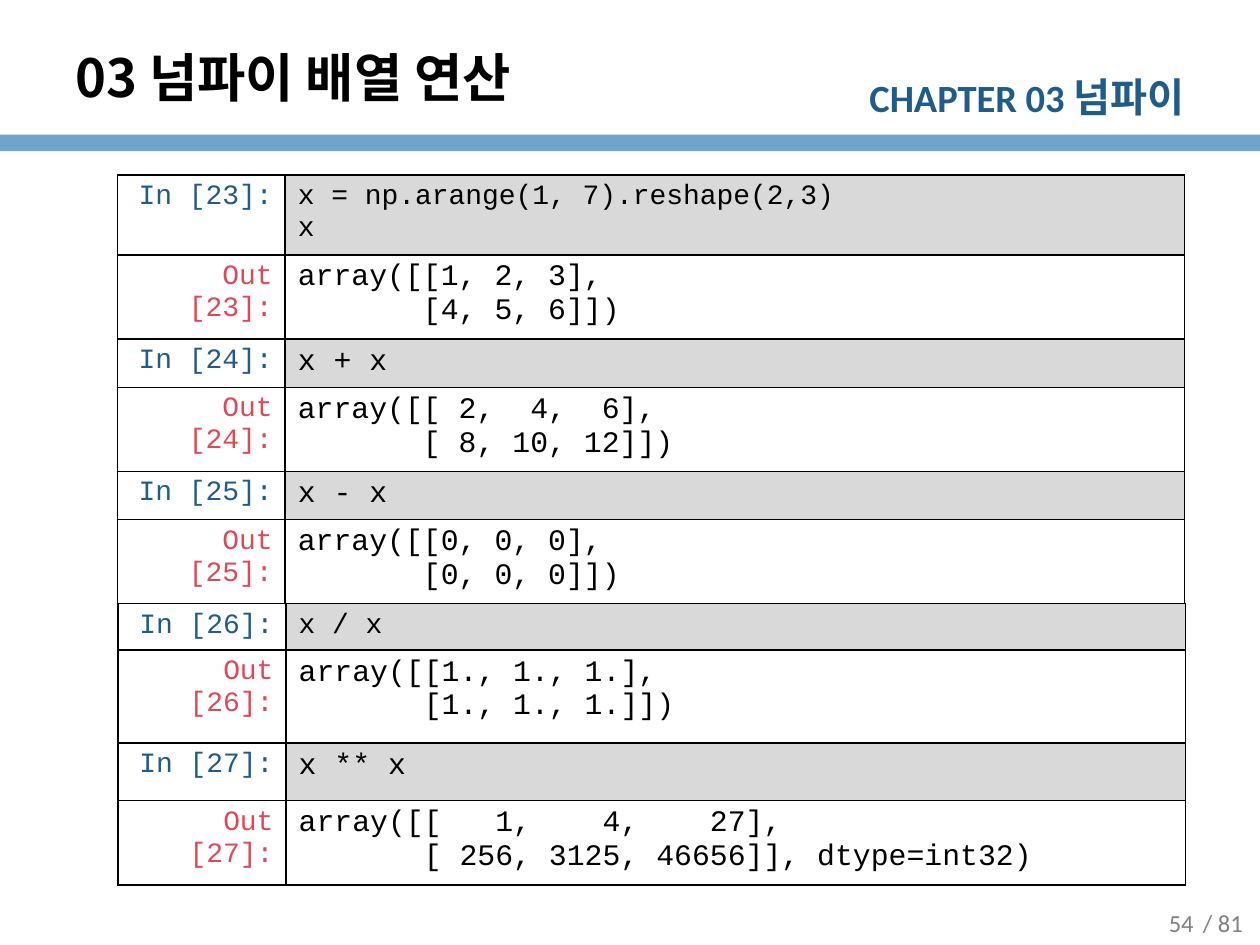
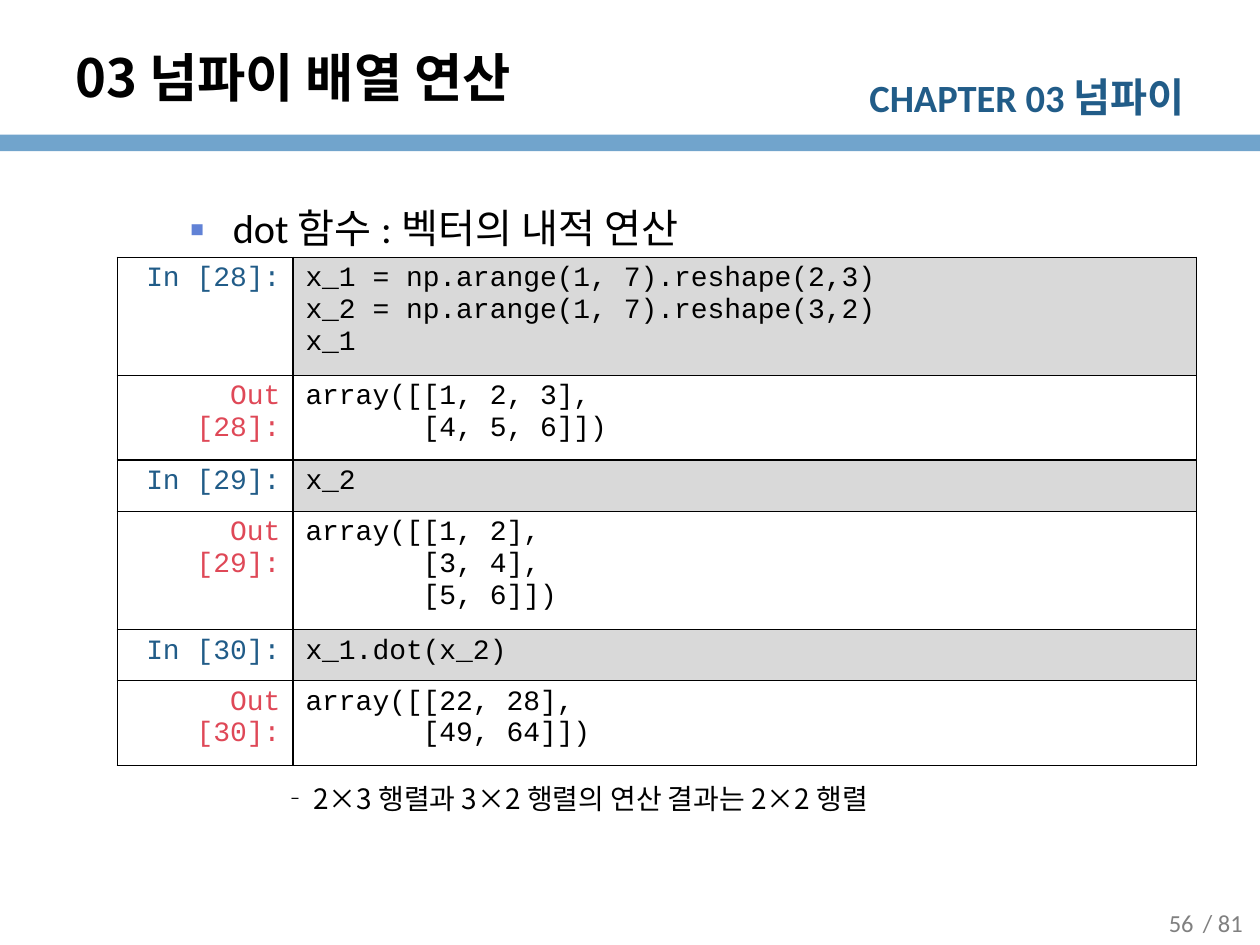
from lxml import etree
from pptx import Presentation
from pptx.dml.color import RGBColor
from pptx.enum.shapes import MSO_SHAPE
from pptx.enum.text import MSO_ANCHOR, PP_ALIGN
from pptx.oxml.ns import qn
from pptx.util import Pt

RECTANGLE = MSO_SHAPE.RECTANGLE
LEFT, CENTER, RIGHT = PP_ALIGN.LEFT, PP_ALIGN.CENTER, PP_ALIGN.RIGHT
TOP, MIDDLE = MSO_ANCHOR.TOP, MSO_ANCHOR.MIDDLE

# Shared style
BLACK, WHITE, GREY = "000000", "FFFFFF", "808080"
BAND, NAVY, RED, CODE_FILL = "71A4CC", "215C88", "DF4857", "D9D9D9"
BULLET_BLUE = "6182D6"
LATIN, KOREAN, MONO = "Calibri", "Noto Sans CJK KR", "Courier New"
PAGE_WIDTH, PAGE_HEIGHT = 720, 540
LAST_PAGE = 81
LABEL_SIZE = 16


def color(value):
    return RGBColor.from_string(value)


class LectureDeck:
    """Holds the deck, its style and the page being filled."""

    def __init__(self):
        self.deck = Presentation()
        self.deck.slide_width = Pt(PAGE_WIDTH)
        self.deck.slide_height = Pt(PAGE_HEIGHT)
        self.page = None

    def new_page(self, number):
        self.page = self.deck.slides.add_slide(self.deck.slide_layouts[6])
        self.band(0, 77, PAGE_WIDTH, 9.36)
        self.text(476.6, 38, 207.4, 34.6,
                  [("CHAPTER 03 ", 22, LATIN), ("넘파이", 23, LATIN)],
                  NAVY, bold=True, align=RIGHT)
        for left, label in ((677.5, f"/ {LAST_PAGE}"), (653.75, str(number))):
            self.text(left, 514, 42.5, 28 - 2, [(label, 14, LATIN)], GREY,
                      align=CENTER, anchor=MIDDLE)
        self.text(36, 21.6, 564, 44.6, [("03 넘파이 배열 연산", 30, KOREAN)],
                  bold=True, anchor=MIDDLE)

    def band(self, left, top, width, height):
        shape = self.page.shapes.add_shape(
            RECTANGLE, Pt(left), Pt(top), Pt(width), Pt(height))
        shape.shadow.inherit = False
        shape.fill.solid()
        shape.fill.fore_color.rgb = color(BAND)
        shape.line.fill.background()

    def span(self, para, text, size, font, ink, bold=False):
        span = para.add_run()
        span.text = text
        span.font.size = Pt(size)
        span.font.name = font
        span.font.bold = bold
        span.font.color.rgb = color(ink)
        # Hangul needs its own typeface entry
        east_asian = etree.Element(qn("a:ea"), typeface=KOREAN)
        span.font._element.find(qn("a:latin")).addnext(east_asian)

    def text(self, left, top, width, height, spans, ink=BLACK, bold=False,
             align=LEFT, anchor=TOP):
        box = self.page.shapes.add_textbox(
            Pt(left), Pt(top), Pt(width), Pt(height))
        box.text_frame.word_wrap = True
        box.text_frame.vertical_anchor = anchor
        para = box.text_frame.paragraphs[0]
        para.alignment = align
        for text, size, font in spans:
            self.span(para, text, size, font, ink, bold)
        return para

    def bullet(self, para, mark, ink, level, margin, indent):
        para.level = level
        para.line_spacing = 1.25
        properties = para._p.get_or_add_pPr()
        properties.set("marL", str(Pt(margin)))
        properties.set("indent", str(Pt(indent)))
        mark_color = etree.SubElement(properties, qn("a:buClr"))
        etree.SubElement(mark_color, qn("a:srgbClr"), val=ink)
        etree.SubElement(properties, qn("a:buFont"), typeface=KOREAN)
        etree.SubElement(properties, qn("a:buChar"), char=mark)

    def cell(self, cell, lines, size, ink, fill, align=LEFT):
        cell.fill.solid()
        cell.fill.fore_color.rgb = color(fill)
        frame = cell.text_frame
        for index, line in enumerate(lines):
            para = frame.add_paragraph() if index else frame.paragraphs[0]
            para.alignment = align
            self.span(para, line, size, MONO, ink)
        # Borders come before the fill in the cell properties
        properties = cell._tc.get_or_add_tcPr()
        for position, side in enumerate(("lnL", "lnR", "lnT", "lnB")):
            border = etree.Element(qn(f"a:{side}"), w=str(Pt(1)))
            solid = etree.SubElement(border, qn("a:solidFill"))
            etree.SubElement(solid, qn("a:srgbClr"), val=BLACK)
            properties.insert(position, border)

    def notebook(self, left, top, widths, heights, first, blocks, size):
        """Blocks alternate input and output, numbered from first."""
        table = self.page.shapes.add_table(
            len(blocks), 2, Pt(left), Pt(top),
            Pt(sum(widths)), Pt(sum(heights))).table
        for column, width in zip(table.columns, widths):
            column.width = Pt(width)
        for index, (block, height) in enumerate(zip(blocks, heights)):
            table.rows[index].height = Pt(height)
            step, is_output = divmod(index, 2)
            word, ink, fill = (("Out", RED, WHITE) if is_output
                               else ("In", NAVY, CODE_FILL))
            self.cell(table.cell(index, 0), [f"{word} [{first + step}]:"],
                      LABEL_SIZE, ink, WHITE, RIGHT)
            self.cell(table.cell(index, 1), block.split("\n"),
                      size if index else LABEL_SIZE, BLACK, fill)


def arithmetic_page(lecture):
    lecture.new_page(54)
    widths = (96, 514)
    lecture.notebook(67, 100, widths, (38, 45, 24.5, 45, 24.5, 45), 23, [
        "x = np.arange(1, 7).reshape(2,3)\nx",
        "array([[1, 2, 3],\n       [4, 5, 6]])",
        "x + x",
        "array([[ 2,  4,  6],\n       [ 8, 10, 12]])",
        "x - x",
        "array([[0, 0, 0],\n       [0, 0, 0]])",
    ], size=17)
    lecture.notebook(67.5, 344.8, widths, (26.6, 53.2, 33, 33), 26, [
        "x / x",
        "array([[1., 1., 1.],\n       [1., 1., 1.]])",
        "x ** x",
        "array([[   1,    4,    27],\n"
        "       [ 256, 3125, 46656]], dtype=int32)",
    ], size=17)


def dot_page(lecture):
    lecture.new_page(56)
    topic = lecture.text(36, 106, 648, 406,
                         [("dot 함수 : 벡터의 내적 연산", 23, LATIN)])
    lecture.bullet(topic, "▪", BULLET_BLUE, level=1, margin=90, indent=-31.5)
    blocks = [
        "x_1 = np.arange(1, 7).reshape(2,3)\n"
        "x_2 = np.arange(1, 7).reshape(3,2)\nx_1",
        "array([[1, 2, 3],\n       [4, 5, 6]])",
        "x_2",
        "array([[1, 2],\n       [3, 4],\n       [5, 6]])",
        "x_1.dot(x_2)",
        "array([[22, 28],\n       [49, 64]])",
    ]
    heights = [10.2 + 19.1 * len(block.split("\n")) for block in blocks]
    lecture.notebook(67, 147, (100.4, 516.4), heights, 28, blocks, size=16)
    remark = lecture.text(46, 438, 554.4, 23, [
        ("2×3 행렬과 3×2 행렬의 연산 결과는 2×2 행렬", 16, KOREAN)])
    lecture.bullet(remark, "‐", BLACK, level=3, margin=126, indent=-18)


def main():
    lecture = LectureDeck()
    arithmetic_page(lecture)
    dot_page(lecture)
    lecture.deck.save("out.pptx")


if __name__ == "__main__":
    main()
